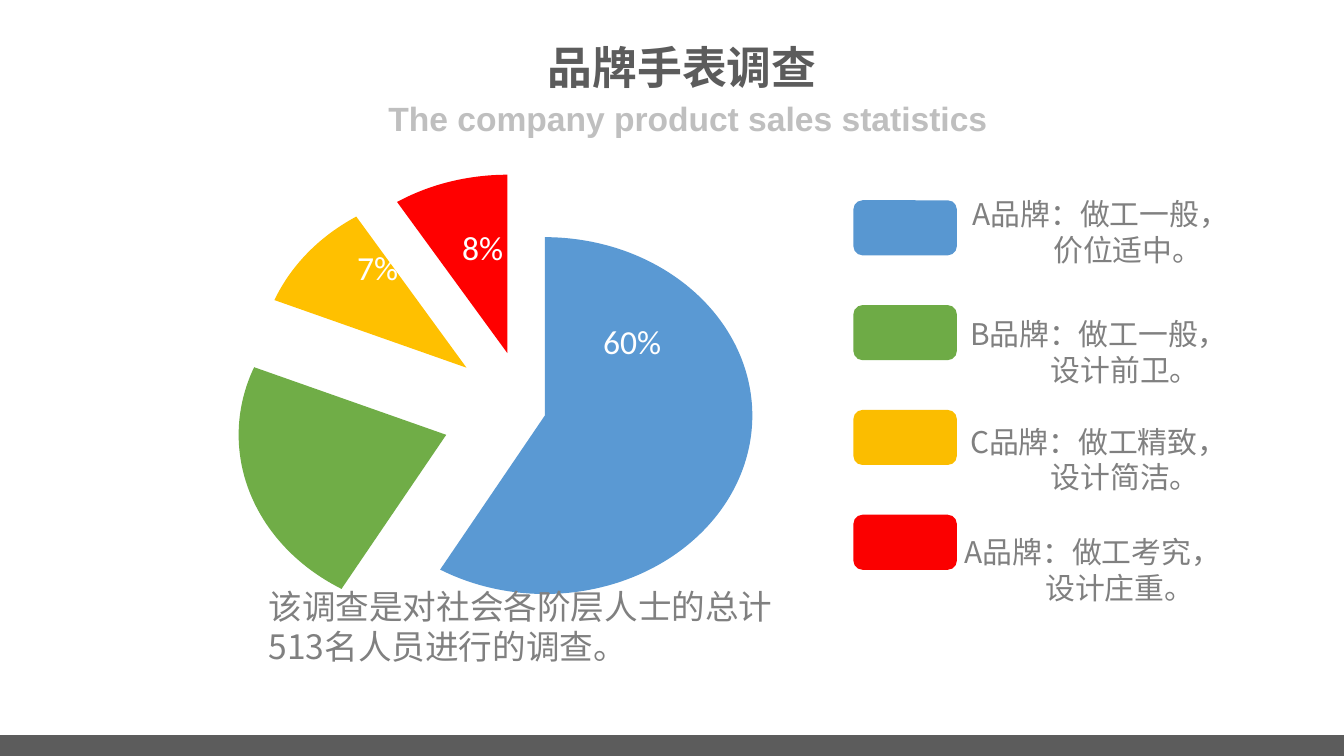
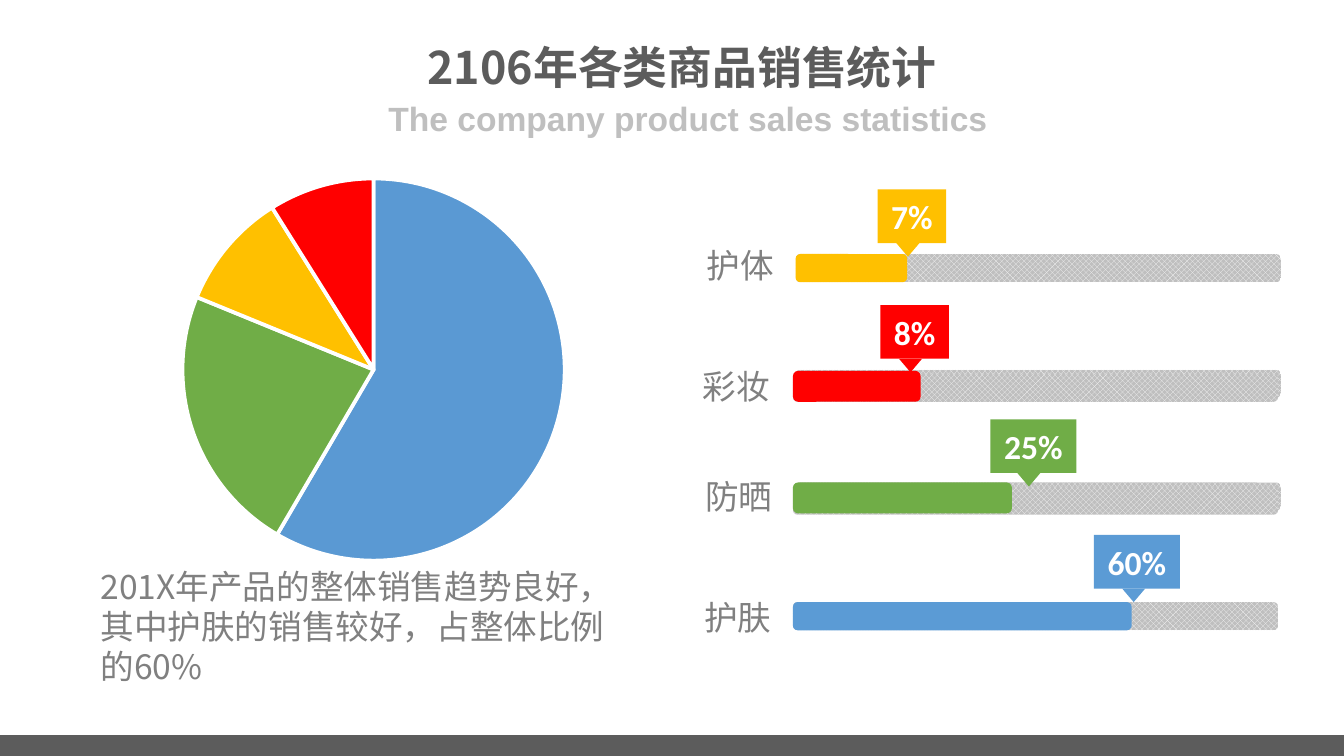
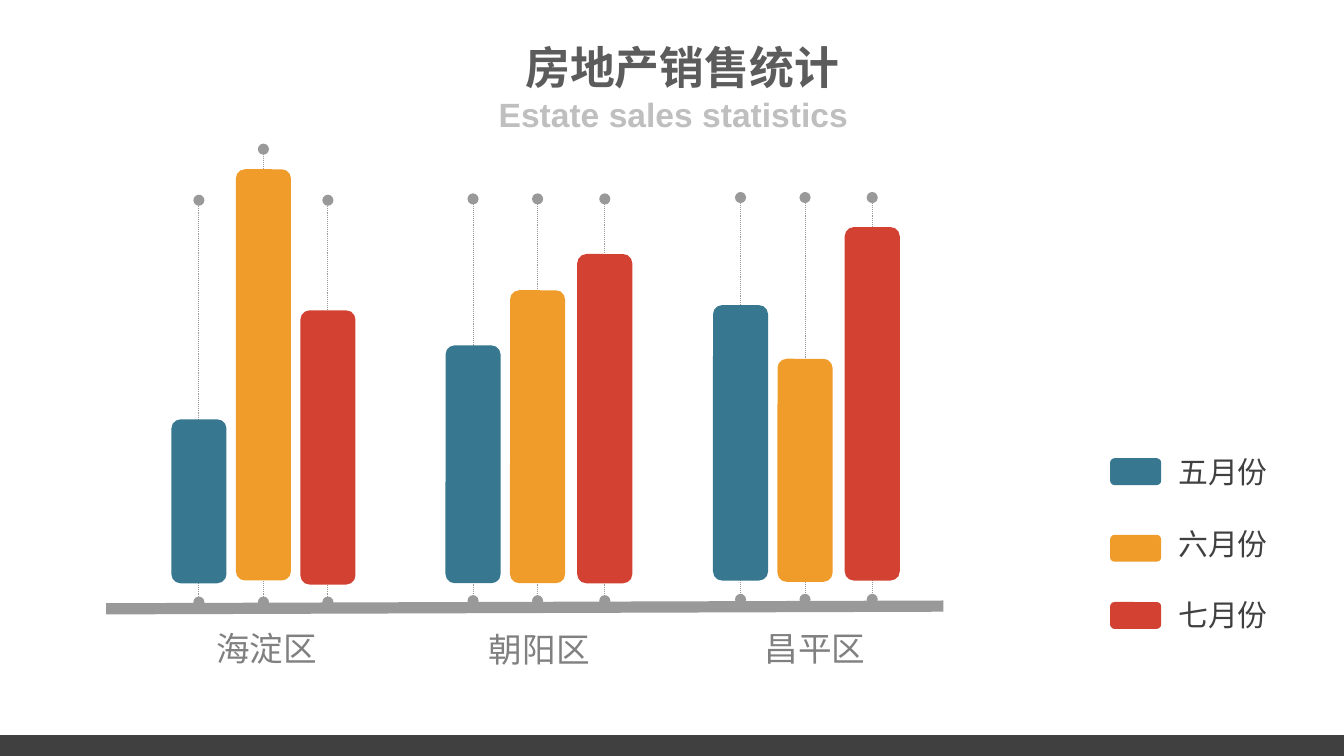
"""Build three sales statistics slides with pies, progress bars and columns."""
from dataclasses import dataclass

from lxml.etree import SubElement
from pptx import Presentation
from pptx.chart.data import ChartData
from pptx.dml.color import RGBColor
from pptx.enum.chart import XL_CHART_TYPE as ChartType
from pptx.enum.dml import MSO_LINE as Dash, MSO_PATTERN as Pattern
from pptx.enum.shapes import MSO_CONNECTOR as Connector, MSO_SHAPE as Shape
from pptx.enum.text import MSO_ANCHOR as Anchor, MSO_AUTO_SIZE as AutoSize, PP_ALIGN as Align
from pptx.oxml.ns import qn
from pptx.util import Inches, Pt


@dataclass(frozen=True)
class Theme:
    cjk: str = "Noto Sans CJK SC"
    latin: str = "Calibri"
    heading: str = "Arial"
    title_size: int = 24
    body_size: int = 18
    key_size: int = 16
    chart_size: int = 10
    dark: str = "5C5C5C"
    darker: str = "404040"
    body: str = "808080"
    axis: str = "999999"
    pale: str = "BFBFBF"
    hatch: str = "F2F2F2"
    white: str = "FFFFFF"
    black: str = "000000"
    blue: str = "5B9BD5"
    green: str = "70AD47"
    yellow: str = "FFC000"
    red: str = "FF0000"
    slices: tuple = ("5A99D3", "70AD47", "FFC000", "FF0000")
    brands: tuple = ("5897D1", "6EAB46", "FBBD00", "FB0000")
    months: tuple = ("377790", "F09C2A", "D24132")


theme = Theme()


def add_block(shapes, kind, at, colour):
    block = shapes.add_shape(kind, *map(Inches, at))
    block.shadow.inherit = False
    block.fill.solid()
    block.fill.fore_color.rgb = RGBColor.from_string(colour)
    block.line.fill.background()
    return block


def write(frame, text, size, colour, font, bold=False, align=Align.LEFT):
    frame.text = text
    for para in frame.paragraphs:
        para.alignment = align
        for span in para.runs:
            span.font.size = Pt(size)
            span.font.bold = bold
            span.font.name = font
            span.font.color.rgb = RGBColor.from_string(colour)
            SubElement(span.font._element, qn("a:ea")).set("typeface", font)


deck = Presentation()
deck.slide_width = Inches(10)
deck.slide_height = Inches(10) * 9 // 16

sales_subtitle = "The company product sales statistics"
headers = [
    ("品牌手表调查", sales_subtitle, 2.87, 0.77, theme.dark),
    ("2106年各类商品销售统计", sales_subtitle, 2.87, 0.77, theme.dark),
    ("房地产销售统计", "Estate sales statistics", 2.76, 0.74, theme.darker),
]
for title, subtitle, left, top, band in headers:
    page = deck.slides.add_slide(deck.slide_layouts[6])
    add_block(page.shapes, Shape.RECTANGLE, (0, 5.47, 10, 0.16), band)
    for text, at, size, colour, font, wrap in [
        (title, (1.99, 0.3, 6.17, 0.39), theme.title_size, theme.dark, theme.cjk, False),
        (subtitle, (left, top, 4.5, 0.22), theme.body_size, theme.pale, theme.heading, True),
    ]:
        frame = page.shapes.add_textbox(*map(Inches, at)).text_frame
        frame.margin_left = frame.margin_right = frame.margin_top = frame.margin_bottom = 0
        frame.vertical_anchor = Anchor.MIDDLE
        frame.word_wrap = wrap
        write(frame, text, size, colour, font, True, Align.CENTER)
brand_page, goods_page, estate_page = deck.slides

pie_data = ChartData()
pie_data.categories = ["1", "2", "3", "4"]
pie_data.add_series("Series 1", (59, 23, 10, 9))
pies = []
for page, left, top in [(brand_page, 1.77, 1.3), (goods_page, 0.63, 1.19)]:
    at = map(Inches, (left, top, 4.3, 3.12))
    pie = page.shapes.add_chart(ChartType.PIE, *at, pie_data).chart
    pie.has_legend = False
    pie.has_title = False
    pie.font.name = theme.latin
    pie.font.size = Pt(theme.chart_size)
    pie.font.color.rgb = RGBColor.from_string(theme.black)
    pie.plots[0].vary_by_categories = True
    for index, colour in enumerate(theme.slices):
        wedge = pie.plots[0].series[0].points[index].format
        wedge.fill.solid()
        wedge.fill.fore_color.rgb = RGBColor.from_string(colour)
        if page is brand_page:
            wedge.line.fill.background()
        else:
            wedge.line.color.rgb = RGBColor.from_string(theme.white)
            wedge.line.width = Pt(2)
    pies.append(pie)

brand_series = pies[0].plots[0].series[0]._element
for wedge, distance in zip(brand_series.findall(qn("c:dPt")), (9, 41, 38, 34)):
    explosion = SubElement(wedge, qn("c:explosion"))
    explosion.set("val", str(distance))
    wedge.find(qn("c:spPr")).addprevious(explosion)
plot_area = pies[0]._chartSpace.chart.plotArea
layout = SubElement(plot_area, qn("c:layout"))
plot_area.insert(0, layout)
manual = SubElement(layout, qn("c:manualLayout"))
for tag, value in [("layoutTarget", "inner"), ("xMode", "edge"), ("yMode", "edge"),
                   ("x", "0"), ("y", "0"), ("w", "1"), ("h", "0.99")]:
    SubElement(manual, qn(f"c:{tag}")).set("val", value)

for index, colour in enumerate(theme.brands):
    at = (6.35, 1.49 + 0.78 * index, 0.77, 0.41)
    add_block(brand_page.shapes, Shape.ROUNDED_RECTANGLE, at, colour)

captions = [
    (brand_page, (1.9, 4.31, 4.14, 0.71), "该调查是对社会各阶层人士的总计513名人员进行的调查。"),
    (goods_page, (0.65, 4.16, 4.14, 1.01),
     "201X年产品的整体销售趋势良好，其中护肤的销售较好，占整体比例的60%"),
    (goods_page, (5.16, 1.77, 0.78, 0.4), "护体"),
    (goods_page, (5.13, 2.67, 0.78, 0.4), "彩妆"),
    (goods_page, (5.15, 3.49, 0.78, 0.4), "防晒"),
    (goods_page, (5.14, 4.39, 0.78, 0.4), "护肤"),
    (estate_page, (1.51, 4.62, 0.96, 0.4), "海淀区"),
    (estate_page, (3.54, 4.63, 0.96, 0.4), "朝阳区"),
    (estate_page, (5.59, 4.62, 0.96, 0.4), "昌平区"),
]
labels = [(*caption, theme.body_size, theme.body, theme.cjk) for caption in captions]
for left, top, text in [(4.39, 2.34, "60%"), (2.56, 1.79, "7%"), (3.34, 1.64, "8%")]:
    at = (left, top, 0.66, 0.4)
    labels.append((brand_page, at, text, theme.body_size, theme.white, theme.latin))
for left, top, text in [
    (7.14, 1.41, "A品牌：做工一般，\n价位适中。"),
    (7.12, 2.3, "B品牌：做工一般，\n设计前卫。"),
    (7.12, 3.1, "C品牌：做工精致，\n设计简洁。"),
    (7.08, 3.92, "A品牌：做工考究，\n设计庄重。"),
]:
    at = (left, top, 2.16, 0.64)
    labels.append((brand_page, at, text, theme.key_size, theme.body, theme.cjk))
labels.append((estate_page, (8.67, 3.33, 1.33, 1.45), "五月份\n六月份\n七月份",
               theme.key_size, theme.darker, theme.cjk))
for page, at, text, size, colour, font in labels:
    frame = page.shapes.add_textbox(*map(Inches, at)).text_frame
    frame.word_wrap = True
    frame.auto_size = AutoSize.SHAPE_TO_FIT_TEXT
    write(frame, text, size, colour, font)
    for para in frame.paragraphs[1:]:
        if page is brand_page:
            para._p.get_or_add_pPr().set("marL", str(Inches(0.6)))
        else:
            para.space_before = Pt(19)

for left, top in [(5.92, 1.89), (5.92, 2.75), (5.92, 3.59), (5.9, 2.78), (5.9, 3.62), (5.9, 4.48)]:
    at = (left, top, 3.61, 0.21)
    track = add_block(goods_page.shapes, Shape.ROUNDED_RECTANGLE, at, theme.pale)
    track.fill.patterned()
    track.fill.pattern = Pattern.TRELLIS
    track.fill.fore_color.rgb = RGBColor.from_string(theme.hatch)
    track.fill.back_color.rgb = RGBColor.from_string(theme.pale)

for share, colour, bar, flag_left, flag_top, flag_width, tip_left in [
    ("7%", theme.yellow, (5.92, 1.89, 0.83, 0.21), 6.53, 1.41, 0.51, 6.67),
    ("8%", theme.red, (5.9, 2.76, 0.95, 0.23), 6.55, 2.27, 0.51, 6.69),
    ("25%", theme.green, (5.9, 3.59, 1.63, 0.23), 7.37, 3.12, 0.64, 7.57),
    ("60%", theme.blue, (5.9, 4.48, 2.52, 0.21), 8.14, 3.98, 0.64, 8.35),
]:
    add_block(goods_page.shapes, Shape.ROUNDED_RECTANGLE, bar, colour)
    callout = goods_page.shapes.add_group_shape().shapes
    at = (tip_left, flag_top + 0.4, 0.17, 0.1)
    add_block(callout, Shape.ISOSCELES_TRIANGLE, at, colour).rotation = 180
    flag = add_block(callout, Shape.RECTANGLE, (flag_left, flag_top, flag_width, 0.4), colour)
    flag.text_frame.word_wrap = False
    flag.text_frame.auto_size = AutoSize.SHAPE_TO_FIT_TEXT
    write(flag.text_frame, share, theme.body_size, theme.white, theme.latin, True, Align.CENTER)

ends = map(Inches, (0.79, 4.53, 7.02, 4.51))
baseline = estate_page.shapes.add_connector(Connector.STRAIGHT, *ends)
lines = [(baseline, 6)]
for foot, columns in [
    (4.48, [(1.48, 1.49, 3.12, 1.22), (1.96, 1.11, 1.26, 3.06), (2.44, 1.49, 2.31, 2.04)]),
    (4.47, [(3.52, 1.48, 2.57, 1.77), (4, 1.48, 2.16, 2.18), (4.5, 1.48, 1.89, 2.45)]),
    (4.46, [(5.51, 1.47, 2.27, 2.05), (5.99, 1.47, 2.67, 1.66), (6.49, 1.47, 1.69, 2.63)]),
]:
    for colour, (centre, stem_top, top, height) in zip(theme.months, columns):
        column = estate_page.shapes.add_group_shape().shapes
        ends = map(Inches, (centre, foot, centre, stem_top))
        lines.append((column.add_connector(Connector.STRAIGHT, *ends), 0.5))
        at = (centre - 0.41 / 2, top, 0.41, height)
        add_block(column, Shape.ROUNDED_RECTANGLE, at, colour)
for connector, width in lines:
    connector.line.color.rgb = RGBColor.from_string(theme.axis)
    connector.line.width = Pt(width)
    if connector is not baseline:
        connector.line.dash_style = Dash.ROUND_DOT
        for end in ("a:headEnd", "a:tailEnd"):
            SubElement(connector.line._get_or_add_ln(), qn(end)).set("type", "oval")
    SubElement(connector._element.spPr, qn("a:effectLst"))

for top, colour in zip((3.41, 3.98, 4.48), theme.months):
    add_block(estate_page.shapes, Shape.ROUNDED_RECTANGLE, (8.26, top, 0.38, 0.2), colour)

deck.save("out.pptx")
